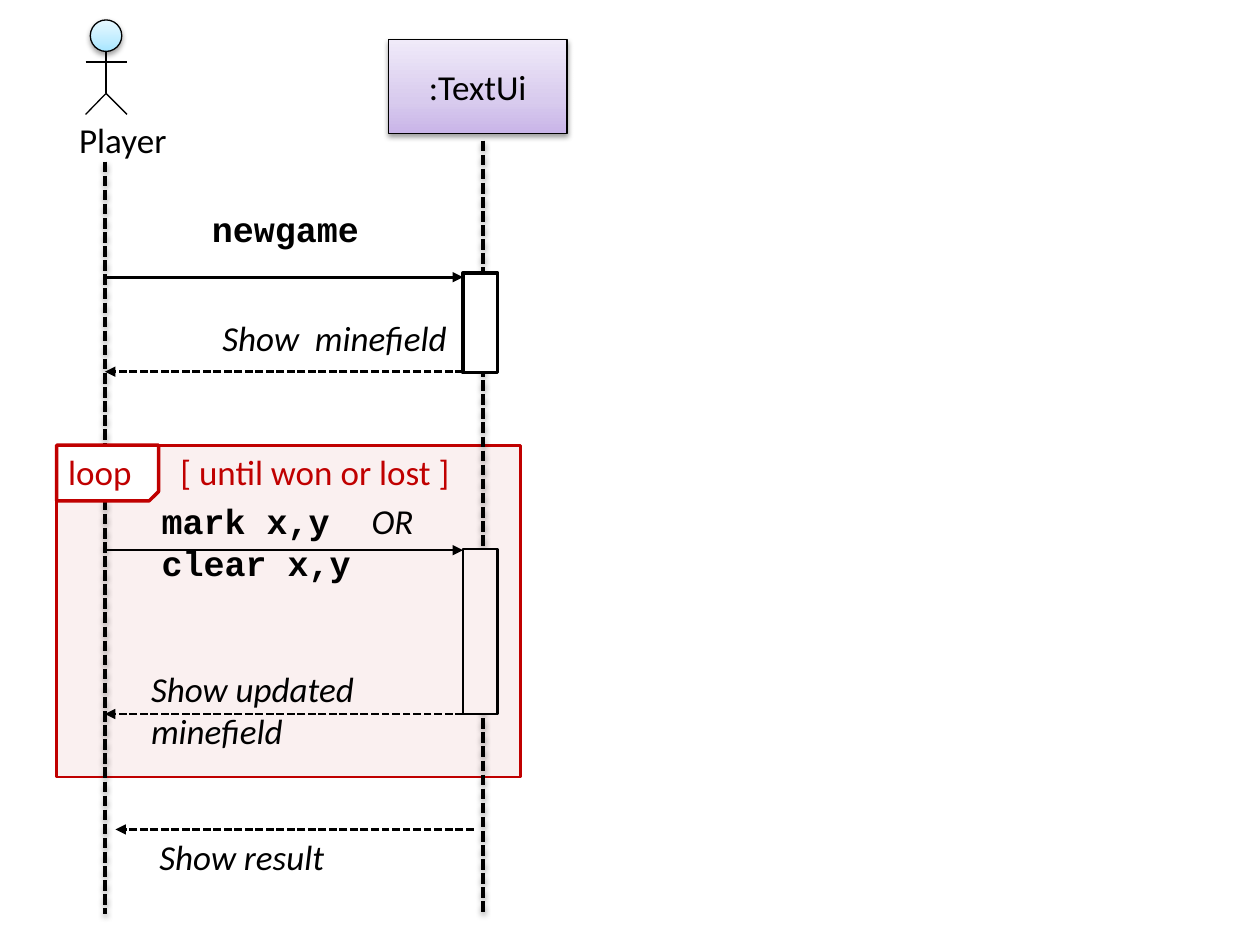
import copy
import dataclasses

import lxml.etree
import pptx
import pptx.dml.color
import pptx.enum.dml
import pptx.enum.shapes
import pptx.enum.text
import pptx.oxml.ns
import pptx.util


@dataclasses.dataclass(frozen=True)
class Theme:
    black: str = "000000"
    white: str = "FFFFFF"
    red: str = "C00000"
    blush: str = "FAF0F0"
    purple: tuple = ("C9B5E8", "D8CBEE", "F0EAF9")
    blue: tuple = ("A7E6FF", "C1EDFF", "E7F8FF")
    body_font: str = "Calibri"
    command_font: str = "Courier New"
    text_size: int = 20
    thin: float = 0.75
    medium: float = 1.5
    thick: float = 2


THEME = Theme()
SHAPE = pptx.enum.shapes.MSO_SHAPE
ALIGN = pptx.enum.text.PP_ALIGN
ANCHOR = pptx.enum.text.MSO_ANCHOR
COLUMNS, ROWS = 120, 90
CELL = pptx.util.Inches(10) / COLUMNS
PLAYER, ACTIVATION, TEXT_UI = 10, 44.1, 46


def grid(*values):
    return [pptx.util.Emu(round(value * CELL)) for value in values]


def color(code):
    return pptx.dml.color.RGBColor.from_string(code)


def add_child(parent, tag, **attributes):
    child = lxml.etree.SubElement(parent, pptx.oxml.ns.qn(tag))
    for name, value in attributes.items():
        child.set(name, str(value))
    return child


def set_effect(shape, shadowed):
    effects = add_child(shape._element.spPr, "a:effectLst")
    if shadowed:
        shadow = add_child(effects, "a:outerShdw", blurRad=40000, dist=20000,
                           dir=5400000, rotWithShape=0)
        add_child(add_child(shadow, "a:srgbClr", val=THEME.black), "a:alpha", val=38000)


def set_gradient(fill, colors):
    fill.gradient()
    fill.gradient_angle = 90
    first = fill._fill._gradFill.gsLst[0]
    first.addnext(copy.deepcopy(first))
    for stop, position, code in zip(fill.gradient_stops, (0, 0.35, 1), colors):
        stop.position = position
        stop.color.rgb = color(code)


def add_box(shapes, kind, place, fill, line, width, shadowed=False):
    shape = shapes.add_shape(kind, *grid(*place))
    if isinstance(fill, tuple):
        set_gradient(shape.fill, fill)
    else:
        shape.fill.solid()
        shape.fill.fore_color.rgb = color(fill)
    shape.line.color.rgb = color(line)
    shape.line.width = pptx.util.Pt(width)
    set_effect(shape, shadowed)
    return shape


def add_line(shapes, start, end, width, dashed=False, arrow=False, shadowed=False):
    line = shapes.add_connector(pptx.enum.shapes.MSO_CONNECTOR.STRAIGHT,
                                *grid(*start, *end))
    line.line.color.rgb = color(THEME.black)
    line.line.width = pptx.util.Pt(width)
    if dashed:
        line.line.dash_style = pptx.enum.dml.MSO_LINE.SQUARE_DOT
    if arrow:
        add_child(line.line._get_or_add_ln(), "a:tailEnd", type="triangle")
    set_effect(line, shadowed)


def format_run(run, font=THEME.body_font, ink=THEME.black, bold=False, italic=False):
    run.font.name = font
    run.font.size = pptx.util.Pt(THEME.text_size)
    run.font.color.rgb = color(ink)
    run.font.bold = bold
    run.font.italic = italic


def add_text(shapes, place, text, align=ALIGN.LEFT, anchor=ANCHOR.TOP, tab=None, **style):
    frame = shapes.add_textbox(*grid(*place)).text_frame
    frame.word_wrap = True
    frame.vertical_anchor = anchor
    paragraph = frame.paragraphs[0]
    if tab:
        stops = add_child(paragraph._p.get_or_add_pPr(), "a:tabLst")
        add_child(stops, "a:tab", pos=grid(tab)[0], algn="l")
    paragraph.text = text
    paragraph.alignment = align
    for run in paragraph.runs:
        format_run(run, **style)
    return paragraph


def add_call(shapes, row):
    add_line(shapes, (PLAYER, row), (ACTIVATION, row), THEME.medium, arrow=True)


def add_reply(shapes, row, shift=0):
    add_line(shapes, (ACTIVATION + shift, row), (PLAYER + shift, row),
             THEME.medium, dashed=True, arrow=True)


def add_lifeline(shapes, column, top):
    add_line(shapes, (column, top), (column, 87), THEME.thick, dashed=True, shadowed=True)


def add_player(shapes):
    figure = shapes.add_group_shape().shapes
    center, left, right, hip, foot = 10.1, 8.15, 12.1, 8.9, 10.9
    for start, end in (((center, 3.9), (center, hip)), ((left, 5.9), (right, 5.9)),
                       ((center, hip), (left, foot)), ((center, hip), (right, foot))):
        add_line(figure, start, end, THEME.thin)
    add_box(figure, SHAPE.OVAL, (8.6, 1.9, 3, 3), THEME.blue, THEME.black,
            THEME.thin, shadowed=True)


def add_participant(shapes):
    box = add_box(shapes, SHAPE.RECTANGLE, (37, 3.8, 17, 8.9), THEME.purple,
                  THEME.black, THEME.thin, shadowed=True)
    box.text_frame.text = ":TextUi"
    box.text_frame.vertical_anchor = ANCHOR.MIDDLE
    paragraph = box.text_frame.paragraphs[0]
    paragraph.alignment = ALIGN.CENTER
    format_run(paragraph.runs[0])


def add_frame_and_lifelines(shapes):
    add_box(shapes, SHAPE.RECTANGLE, (5.4, 42.4, 44.2, 31.6), THEME.blush,
            THEME.red, THEME.medium)
    add_lifeline(shapes, PLAYER, 15.4)
    tag = add_box(shapes, SHAPE.SNIP_1_RECTANGLE, (5.4, 42.4, 9.7, 5.3), THEME.white,
                  THEME.red, THEME.thick)
    tag._element.spPr.xfrm.set("flipV", "1")
    add_lifeline(shapes, TEXT_UI, 13.4)


def add_messages(shapes):
    add_call(shapes, 26.4)
    add_reply(shapes, 35.4)
    add_text(shapes, (19, 19.2, 18, 5.3), "newgame", font=THEME.command_font, bold=True)
    add_text(shapes, (20, 29.6, 24, 5.3), "Show  minefield", italic=True)
    add_text(shapes, (5.3, 42.4, 39.7, 5), "loop\t[ until won or lost ]",
             anchor=ANCHOR.MIDDLE, tab=10.7, ink=THEME.red)
    add_call(shapes, 52.4)
    commands = add_text(shapes, (14.2, 47, 36.1, 9.2), "mark x,y\t", tab=20,
                        font=THEME.command_font, bold=True)
    choice = commands.add_run()
    choice.text = "OR"
    format_run(choice, italic=True)
    commands.add_line_break()
    clear = commands.add_run()
    clear.text = "clear x,y"
    format_run(clear, font=THEME.command_font, bold=True)
    add_reply(shapes, 68)
    add_text(shapes, (13.2, 63, 29.6, 9.2), "Show updated minefield", italic=True)
    add_reply(shapes, 79, shift=1)
    add_text(shapes, (14, 79, 25, 5.3), "Show result", italic=True)


def add_activations(shapes):
    for top, height, fill, width in ((26, 9.5, THEME.white, THEME.thick),
                                     (52.3, 15.7, THEME.blush, THEME.medium)):
        add_box(shapes, SHAPE.RECTANGLE, (ACTIVATION, top, 3.3, height), fill,
                THEME.black, width)


def main():
    presentation = pptx.Presentation()
    presentation.slide_width, presentation.slide_height = grid(COLUMNS, ROWS)
    slide = presentation.slides.add_slide(presentation.slide_layouts[6])
    shapes = slide.shapes
    add_frame_and_lifelines(shapes)
    add_participant(shapes)
    add_messages(shapes)
    add_player(shapes)
    add_activations(shapes)
    add_text(shapes, (4.6, 10.7, 14.2, 5.3), "Player", align=ALIGN.CENTER)
    presentation.save("out.pptx")


if __name__ == "__main__":
    main()
